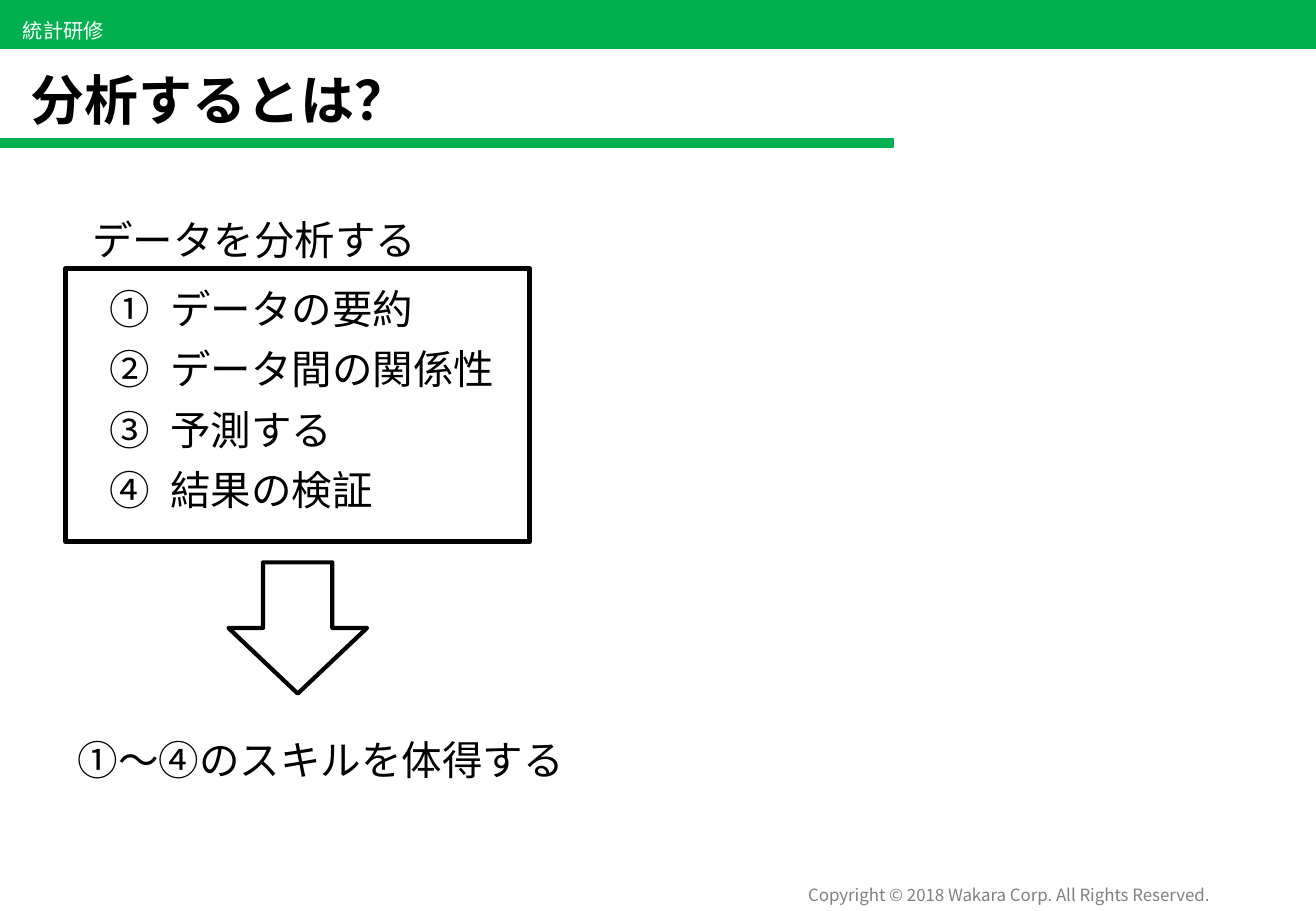
from lxml.etree import SubElement
from pptx import Presentation
from pptx.dml.color import RGBColor
from pptx.enum.shapes import MSO_SHAPE as Preset
from pptx.enum.text import MSO_ANCHOR as Anchor, MSO_AUTO_SIZE as AutoSize, PP_ALIGN as Align
from pptx.oxml.ns import qn
from pptx.util import Inches, Pt

GREEN = RGBColor(0x00, 0xB0, 0x50)
BLACK = RGBColor(0x00, 0x00, 0x00)
GRAY = RGBColor(0x80, 0x80, 0x80)
WHITE = RGBColor(0xFF, 0xFF, 0xFF)
FACE = "Noto Sans CJK JP"

deck = Presentation()
deck.slide_width, deck.slide_height = Inches(10.83), Inches(7.5)
slide = deck.slides.add_slide(deck.slide_layouts[1])


def area(*percents):
    sides = (deck.slide_width, deck.slide_height) * 2
    return [round(side * percent / 100) for side, percent in zip(sides, percents)]


def write(paragraph, wording, size, color, bold=False, align=Align.LEFT):
    paragraph.alignment = align
    run = paragraph.add_run()
    run.text = wording
    run.font.color.rgb = color
    for key, value in {"name": FACE, "size": Pt(size), "bold": bold}.items():
        setattr(run.font, key, value)
    SubElement(run.font._element, qn("a:ea"), typeface=FACE)


outlines = [
    (Preset.RECTANGLE, (0, 0, 100, 5.33), GREEN, GREEN, 1),
    (Preset.RECTANGLE, (0, 15.2, 67.87, 0.93), GREEN, GREEN, 1),
    (Preset.DOWN_ARROW, (17.36, 61.73, 10.53, 14.4), None, BLACK, 2.5),
    (Preset.RECTANGLE, (4.99, 29.47, 35.27, 30), None, BLACK, 2.75),
]
for preset, share, fill, stroke, weight in outlines:
    outline = slide.shapes.add_shape(preset, *area(*share))
    outline.shadow.inherit = False
    if fill is None:
        outline.fill.background()
    else:
        outline.fill.solid()
        outline.fill.fore_color.rgb = fill
    outline.line.color.rgb = stroke
    outline.line.width = Pt(weight)

labels = [
    ("Copyright © 2018 Wakara Corp. All Rights Reserved.",
     (57.34, 96.4, 35.46, 3.6), 10, GRAY, Align.RIGHT, Anchor.MIDDLE),
    ("統計研修", (0.83, 1.33, 8.13, 4), 12, WHITE, Align.LEFT, Anchor.MIDDLE),
    ("データを分析する", (6.09, 22.93, 26.69, 6.67), 24, BLACK, Align.LEFT, Anchor.TOP),
    ("①〜④のスキルを体得する", (4.99, 80, 39.15, 6.67), 24, BLACK, Align.LEFT, Anchor.TOP),
]
for wording, share, size, color, align, anchor in labels:
    frame = slide.shapes.add_textbox(*area(*share)).text_frame
    frame.word_wrap = False
    frame.auto_size = AutoSize.SHAPE_TO_FIT_TEXT
    frame.vertical_anchor = anchor
    write(frame.paragraphs[0], wording, size, color, align=align)

heading, steps = slide.shapes.title, slide.placeholders[1]
placements = [
    (heading, (1.39, 5.33, 95.66, 9.87), Anchor.BOTTOM),
    (steps, (7.39, 31.07, 80.98, 26.4), Anchor.TOP),
]
for holder, share, anchor in placements:
    for key, value in zip(("left", "top", "width", "height"), area(*share)):
        setattr(holder, key, value)
    for key, value in {"auto_size": AutoSize.NONE, "word_wrap": True, "vertical_anchor": anchor}.items():
        setattr(holder.text_frame, key, value)

title_line = heading.text_frame.paragraphs[0]
title_line.line_spacing = 0.9
write(title_line, "分析するとは？", 32, BLACK, bold=True)

for index, step in enumerate(["データの要約", "データ間の関係性", "予測する", "結果の検証"]):
    item = steps.text_frame.add_paragraph() if index else steps.text_frame.paragraphs[0]
    numbering = item._p.get_or_add_pPr()
    numbering.set("marL", str(Inches(0.5)))
    numbering.set("indent", str(-Inches(0.5)))
    SubElement(numbering, qn("a:buFont"), typeface=FACE)
    SubElement(numbering, qn("a:buAutoNum"), type="circleNumDbPlain")
    item.line_spacing = 0.9
    item.space_before = Pt(10 if index else 0)
    write(item, step, 24, BLACK)

deck.save("out.pptx")
